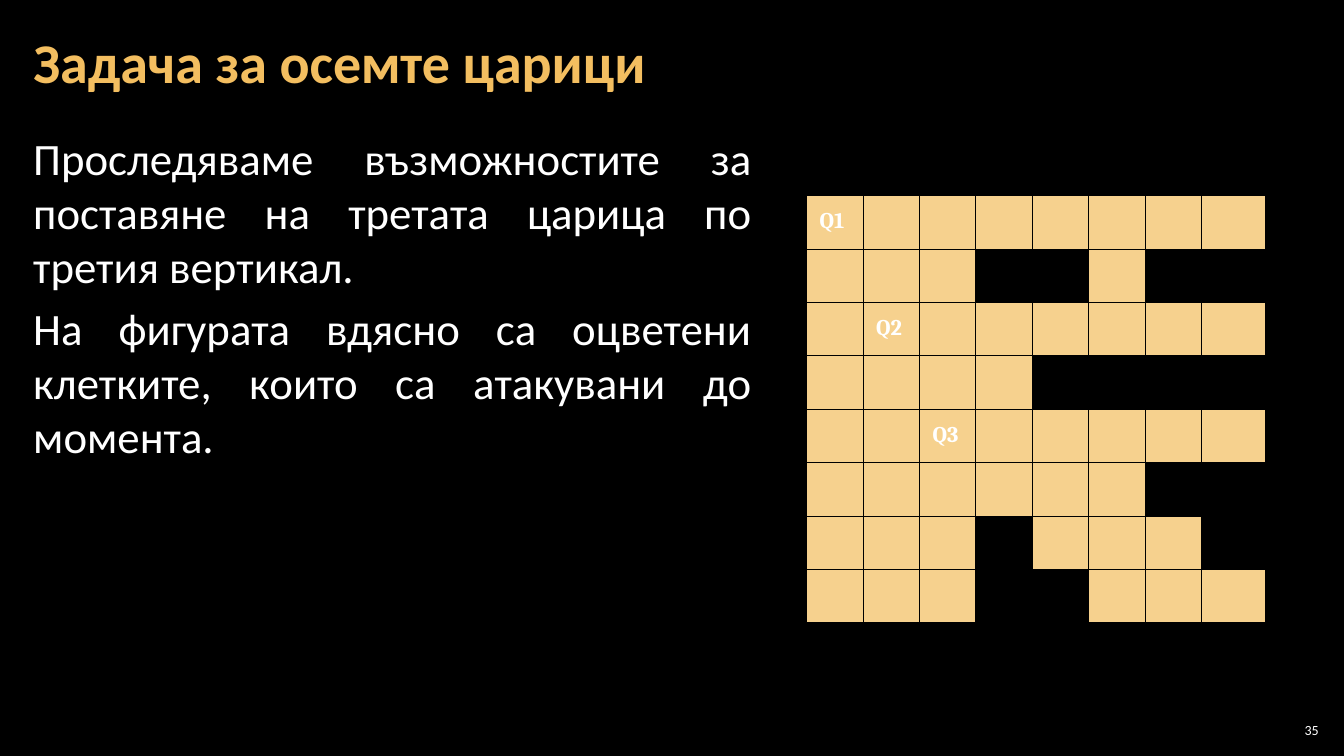
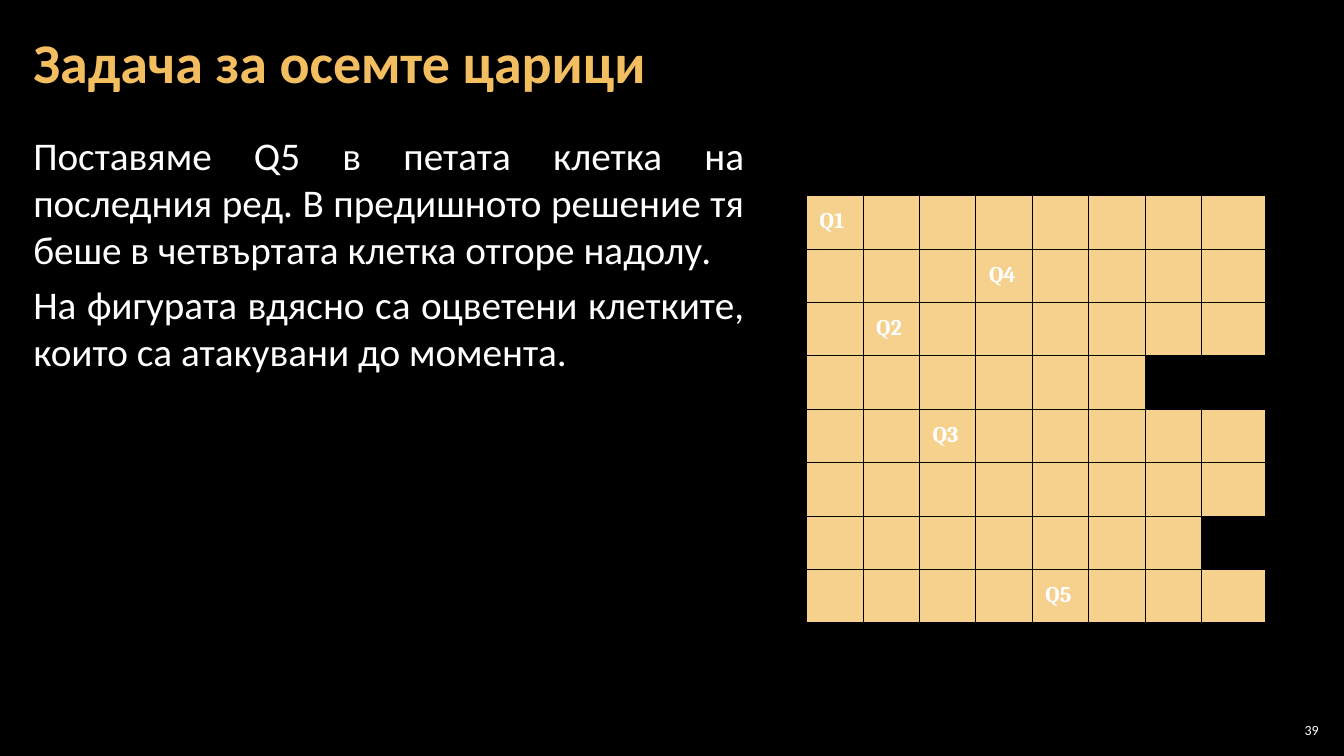
from lxml import etree
from pptx import Presentation
from pptx.dml.color import RGBColor
from pptx.enum.text import MSO_ANCHOR, PP_ALIGN
from pptx.oxml.ns import qn
from pptx.util import Inches, Pt

LEFT, RIGHT, JUSTIFY = PP_ALIGN.LEFT, PP_ALIGN.RIGHT, PP_ALIGN.JUSTIFY
TOP, MIDDLE = MSO_ANCHOR.TOP, MSO_ANCHOR.MIDDLE

COLORS = {
    "background": "000000",
    "text": "FFFFFF",
    "title": "F3BE60",
    "attacked": "F6D18E",
}
BODY_FONT = "Calibri"
QUEEN_FONT = "Cambria"
BOARD_SIZE = 8
COLUMN_WIDTHS = [0.56] * 7 + [0.63]
ROW_HEIGHT = 0.53
TITLE = "Задача за осемте царици"
ATTACKED_NOTE = "На фигурата вдясно са оцветени клетките, които са атакувани до момента."

SLIDES = [
    {
        "paragraphs": [
            "Проследяваме възможностите за поставяне на третата царица по третия вертикал.",
            ATTACKED_NOTE,
        ],
        "size": 32,
        "body_width": 7.37,
        "queen_rows": [0, 2, 4],
        "number": "35",
    },
    {
        "paragraphs": [
            "Поставяме Q5 в петата клетка на последния ред. "
            "В предишното решение тя беше в четвъртата клетка отгоре надолу.",
            ATTACKED_NOTE,
        ],
        "size": 28,
        "body_width": 7.29,
        "queen_rows": [0, 2, 4, 1, 7],
        "number": "39",
    },
]


def color(name):
    """Return a palette colour."""
    return RGBColor.from_string(COLORS[name])


def add_span(para, text, size, font=BODY_FONT, tint="text", bold=False):
    """Add one styled run to a paragraph."""
    span = para.add_run()
    span.text = text
    span.font.name = font
    span.font.size = Pt(size)
    span.font.bold = bold
    span.font.color.rgb = color(tint)


def add_text(page, area, paragraphs, size, align=LEFT, anchor=TOP,
             margins=(0.12, 0.04), spacing=None, after=0, **style):
    """Place a wrapped text box with one run in each paragraph."""
    frame = page.shapes.add_textbox(*map(Inches, area)).text_frame
    frame.word_wrap = True
    frame.vertical_anchor = anchor
    frame.margin_left = frame.margin_right = Inches(margins[0])
    frame.margin_top = frame.margin_bottom = Inches(margins[1])
    for index, text in enumerate(paragraphs):
        para = frame.add_paragraph() if index else frame.paragraphs[0]
        para.alignment = align
        para.space_after = Pt(after)
        if spacing:
            para.line_spacing = spacing
        add_span(para, text, size, **style)


def is_attacked(row, column, queen_rows):
    """Tell whether any placed queen holds or attacks the square."""
    return any(
        row == queen_row or column == queen_column
        or abs(row - queen_row) == abs(column - queen_column)
        for queen_column, queen_row in enumerate(queen_rows)
    )


def add_borders(cell):
    """Outline a cell in the background colour."""
    properties = cell._tc.get_or_add_tcPr()
    for index, side in enumerate(("lnL", "lnR", "lnT", "lnB")):
        line = etree.Element(qn(f"a:{side}"), w=str(Pt(0.75)))
        fill = etree.SubElement(line, qn("a:solidFill"))
        etree.SubElement(fill, qn("a:srgbClr"), val=COLORS["background"])
        properties.insert(index, line)


def add_board(page, left, top, queen_rows):
    """Draw the chessboard with its queens and attacked squares."""
    area = (left, top, sum(COLUMN_WIDTHS), ROW_HEIGHT * BOARD_SIZE)
    board = page.shapes.add_table(BOARD_SIZE, BOARD_SIZE, *map(Inches, area)).table
    board.first_row = board.horz_banding = False
    for column, width in enumerate(COLUMN_WIDTHS):
        board.columns[column].width = Inches(width)
        for row in range(BOARD_SIZE):
            board.rows[row].height = Inches(ROW_HEIGHT)
            cell = board.cell(row, column)
            if is_attacked(row, column, queen_rows):
                cell.fill.solid()
                cell.fill.fore_color.rgb = color("attacked")
            else:
                cell.fill.background()
            add_borders(cell)
    for column, row in enumerate(queen_rows):
        cell = board.cell(row, column)
        cell.margin_left = cell.margin_right = Inches(0.13)
        cell.margin_top = cell.margin_bottom = Inches(0.13)
        add_span(cell.text_frame.paragraphs[0], f"Q{column + 1}", 16,
                 font=QUEEN_FONT, bold=True)


def add_queens_slide(deck, paragraphs, size, body_width, queen_rows, number):
    """Build a slide with a title, an explanation, a board and a number."""
    page = deck.slides.add_slide(deck.slide_layouts[6])
    add_text(page, (0.21, 1.26, body_width, 6.09), paragraphs, size,
             align=JUSTIFY, after=6)
    add_text(page, (0.21, 0.04, 12.91, 1.21), [TITLE], 40, anchor=MIDDLE,
             spacing=0.9, tint="title", bold=True)
    add_board(page, 8, 1.94, queen_rows)
    add_text(page, (12.65, 7.14, 0.47, 0.21), [number], 10, align=RIGHT,
             anchor=MIDDLE, margins=(0.04, 0.04))


def main():
    """Build and save the deck."""
    deck = Presentation()
    deck.slide_width, deck.slide_height = Inches(13.33), Inches(7.5)
    backdrop = deck.slide_master.background.fill
    backdrop.solid()
    backdrop.fore_color.rgb = color("background")
    for content in SLIDES:
        add_queens_slide(deck, **content)
    deck.save("out.pptx")


if __name__ == "__main__":
    main()
